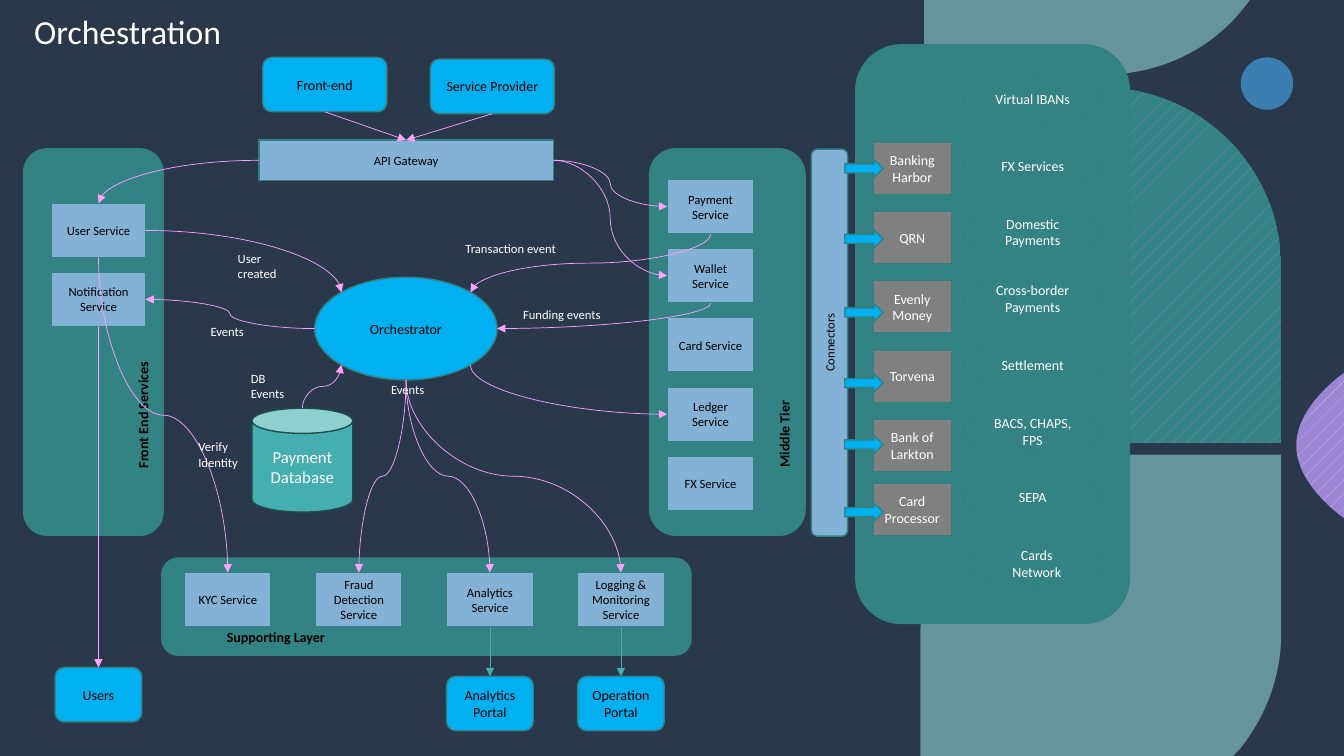
from pptx import Presentation
from pptx.dml.color import RGBColor
from pptx.enum.dml import MSO_PATTERN
from pptx.enum.shapes import MSO_CONNECTOR, MSO_SHAPE as SHAPE
from pptx.enum.text import MSO_ANCHOR, MSO_AUTO_SIZE, PP_ALIGN
from pptx.oxml.ns import qn
from pptx.util import Pt
from lxml.etree import SubElement

COLORS = {name: RGBColor.from_string(value) for name, value in {
    "background": "1B2430", "overlay": "425876", "teal": "348384", "border": "338182",
    "cyan": "00B0F0", "blue": "84B2D6", "gray": "808080", "dot": "3B7EB1", "mint": "8DD2D2",
    "purple": "9B86D5", "lilac": "DED7F1", "database": "45AFB0",
    "database border": "1E4D4D", "pink": "FCA2FD", "black": "000000", "white": "FFFFFF",
}.items()}

presentation = Presentation()
presentation.slide_width, presentation.slide_height = Pt(960), Pt(540)
slide = presentation.slides.add_slide(presentation.slide_layouts[6])
slide.background.fill.solid()
slide.background.fill.fore_color.rgb = COLORS["background"]


def add_box(kind, left, top, width, height, fill=None, text="", size=10,
            color="black", border="border"):
    """Add a preset shape, or a plain text box when kind is None."""
    bounds = Pt(left), Pt(top), Pt(width), Pt(height)
    if kind is None:
        shape = slide.shapes.add_textbox(*bounds)
    else:
        shape = slide.shapes.add_shape(kind, *bounds)
        shape.shadow.inherit = False
        shape.fill.solid()
        shape.fill.fore_color.rgb = COLORS[fill]
        if border:
            shape.line.color.rgb = COLORS[border]
            shape.line.width = Pt(1)
        else:
            shape.line.fill.background()
    if text:
        frame = shape.text_frame
        frame.text = text
        frame.word_wrap = True
        frame.vertical_anchor = MSO_ANCHOR.TOP if kind is None else MSO_ANCHOR.MIDDLE
        paragraph = frame.paragraphs[0]
        paragraph.alignment = PP_ALIGN.LEFT if kind is None else PP_ALIGN.CENTER
        font = paragraph.runs[0].font
        font.name, font.size, font.color.rgb = "Calibri", Pt(size), COLORS[color]
    return shape


def style_arrow(connector, color):
    connector.line.color.rgb = COLORS[color]
    connector.line.width = Pt(0.5)
    properties = connector.element.spPr
    SubElement(properties.find(qn("a:ln")), qn("a:tailEnd"), type="triangle")
    SubElement(properties, qn("a:effectLst"))


# Background tint and decoration: pairs are corners, sextets are Bezier curves
tint = add_box(SHAPE.RECTANGLE, 0, 0, 960, 540, "overlay", border=None)
SubElement(tint.element.spPr.find(".//" + qn("a:srgbClr")), qn("a:alpha"), val="40000")
add_box(SHAPE.OVAL, 886.3, 41, 37.4, 37.4, "dot", border=None)
decorations = [
    ("mint", None, [(660.2, 0), (892.8, 0), (887.8, 6.5),
                    (864.7, 35.3, 828.7, 53.3, 788.4, 53.3), (660.2, 53.3)]),
    ("mint", None, [(786.2, 324.7), (915.1, 324.7), (915.1, 452.9),
                    (915.1, 483.8, 903.6, 512.6, 885.6, 535), (880.6, 540), (657.4, 540),
                    (657.4, 453.6), (657.4, 382.3, 715, 324.7, 786.2, 324.7)]),
    ("purple", "lilac", [(960, 266.4), (960, 370.1), (960, 370.1, 925.9, 347, 925.9, 318.2),
                         (925.9, 289.4, 960, 266.4, 960, 266.4)]),
    ("teal", "purple", [(915.1, 316.8), (787.7, 316.8),
                        (717.1, 316.8, 660.2, 259.9, 660.2, 189.4), (660.2, 62.6),
                        (787.7, 62.6), (857.5, 62.6, 915.1, 119.5, 915.1, 190.1)]),
]
for fill, hatch, outline in decorations:
    corners = [(segment[-2] * 100, segment[-1] * 100) for segment in outline]
    builder = slide.shapes.build_freeform(*corners[0], scale=Pt(1) / 100)
    builder.add_line_segments(corners[1:], close=True)
    shape = builder.convert_to_shape()
    min_x, min_y = (min(values) for values in zip(*corners))
    lines = shape.element.spPr.findall(".//" + qn("a:lnTo"))
    for line, segment in zip(lines, outline[1:]):
        if len(segment) == 6:
            line.tag = qn("a:cubicBezTo")
            line.clear()
            for x, y in zip(segment[::2], segment[1::2]):
                SubElement(line, qn("a:pt"), x=str(round(x * 100 - min_x)),
                           y=str(round(y * 100 - min_y)))
    shape.shadow.inherit = False
    shape.line.fill.background()
    if hatch:
        shape.fill.patterned()
        shape.fill.pattern = MSO_PATTERN.PERCENT_5
        shape.fill.fore_color.rgb = COLORS[hatch]
        shape.fill.back_color.rgb = COLORS[fill]
    else:
        shape.fill.solid()
        shape.fill.fore_color.rgb = COLORS[fill]
        SubElement(shape.element.spPr.find(".//" + qn("a:srgbClr")), qn("a:alpha"), val="60000")

# Title
title = add_box(None, 17.3, -13.4, 390.2, 54, text="Orchestration", size=24, color="white")
title.text_frame.vertical_anchor = MSO_ANCHOR.BOTTOM
title.text_frame.paragraphs[0].line_spacing = 0.9

# Panels
add_box(SHAPE.ROUNDED_RECTANGLE, 611.3, 32.1, 195.4, 413.3, "teal")
for name, left, top, width, height, rotation in [
        ("Supporting Layer", 115.6, 398.7, 378, 69.3, 0),
        ("Front End Services", -71.3, 194.5, 276, 99.6, 270),
        ("Middle Tier", 381.6, 188.8, 276, 111, 270)]:
    panel = add_box(SHAPE.ROUNDED_RECTANGLE, left, top, width, height, "teal", name)
    panel.rotation = rotation
    panel.text_frame.vertical_anchor = MSO_ANCHOR.BOTTOM
    paragraph = panel.text_frame.paragraphs[0]
    paragraph.alignment = PP_ALIGN.JUSTIFY
    paragraph.level = 1
    paragraph._p.get_or_add_pPr().set("marL", str(Pt(36)))
    paragraph.runs[0].font.bold = True
connector_bar = add_box(SHAPE.ROUNDED_RECTANGLE, 454.3, 231.8, 276.5, 25.9, "blue", "Connectors", 9)
connector_bar.rotation = 270

# Payment products
products = ["Virtual IBANs", "FX Services", "Domestic Payments", "Cross-border Payments",
            "Settlement", "BACS, CHAPS, FPS", "SEPA", "Cards Network"]
for row, name in enumerate(products):
    left = 690.5 if name == "Cards Network" else 687.6
    add_box(SHAPE.OVAL, left, 54 + 47.4 * row, 100.1, 33.8, "teal", name, color="white")

# Payment providers with their arrows
for name, top, arrow_top in [
        ("Banking Harbor", 101.5, 113.8), ("QRN", 151.2, 164.2), ("Evenly Money", 200.5, 216.7),
        ("Torvena", 250, 267.1), ("Bank of Larkton", 299.5, 311), ("Card Processor", 345, 359.3)]:
    add_box(SHAPE.RECTANGLE, 623.5, top, 56.2, 37.4, "gray", name, color="white")
    add_box(SHAPE.RIGHT_ARROW, 603.4, arrow_top, 27.4, 13, "cyan")

# Services, entry points and portals
nodes = {}
for kind, fill, size, width, height, items in [
        (SHAPE.RECTANGLE, "blue", 9, 61.9, 38.9,
         [(name, 476.6, 128.2 + 49.4 * row) for row, name in enumerate(
             ["Payment Service", "Wallet Service", "Card Service", "Ledger Service", "FX Service"])]
         + [(name, 131.8 + 93.6 * column, 409) for column, name in enumerate(
             ["KYC Service", "Fraud Detection Service", "Analytics Service",
              "Logging & Monitoring Service"])]),
        (SHAPE.RECTANGLE, "blue", 9, 67, 38.9,
         [("User Service", 36.9, 145.2), ("Notification Service", 36.9, 194.4)]),
        (SHAPE.RECTANGLE, "blue", 9, 210.2, 28.8, [("API Gateway", 185, 100.1)]),
        (SHAPE.ROUNDED_RECTANGLE, "cyan", 10, 88.6, 38.9,
         [("Front-end", 187.7, 41), ("Service Provider", 307.4, 42.3)]),
        (SHAPE.ROUNDED_RECTANGLE, "cyan", 10, 61.9, 38.9,
         [("Users", 39.4, 476.8), ("Analytics Portal", 319, 483.1),
          ("Operation Portal", 412.6, 483.1)]),
        (SHAPE.OVAL, "cyan", 10, 130.3, 73.4, [("Orchestrator", 224.8, 198)])]:
    for name, left, top in items:
        nodes[name] = add_box(kind, left, top, width, height, fill, name, size)
add_box(SHAPE.CAN, 180, 291.6, 72, 74.2, "database", "Payment Database", 12,
        "white", "database border")

# Straight arrows, from bottom side to top side
for source, target, color in [
        ("Front-end", "API Gateway", "pink"), ("Service Provider", "API Gateway", "pink"),
        ("Notification Service", "Users", "pink"),
        ("Analytics Service", "Analytics Portal", "database"),
        ("Logging & Monitoring Service", "Operation Portal", "database")]:
    arrow = slide.shapes.add_connector(MSO_CONNECTOR.STRAIGHT, 0, 0, 0, 0)
    arrow.begin_connect(nodes[source], 2)
    arrow.end_connect(nodes[target], 0)
    style_arrow(arrow, color)

# Curved arrows: (starts vertically, goes right, goes down) gives rotation and flips
TURNS = {(True, False, True): (90, ""), (True, True, True): (270, "H"),
         (True, True, False): (90, "HV"), (False, True, True): (0, ""),
         (False, False, False): (180, ""), (False, False, True): (180, "V")}
for x1, y1, x2, y2, vertical, bends in [
        (290, 271.4, 256.3, 409, True, 3), (290, 271.4, 349.9, 409, True, 3),
        (290, 271.4, 443.5, 409, True, 3), (224.8, 234.7, 103.9, 213.8, False, 3),
        (185, 114.5, 70.4, 145.2, False, 2), (70.4, 184.1, 162.7, 409, True, 3),
        (103.9, 164.6, 243.9, 208.8, False, 2), (395.2, 114.5, 476.6, 147.6, False, 3),
        (395.2, 114.5, 476.6, 197, False, 3), (507.6, 216.5, 355.1, 234.7, True, 2),
        (336, 260.6, 476.6, 295.9, True, 2), (507.6, 167.1, 336, 208.8, True, 3),
        (216, 291.6, 243.9, 260.6, True, 3)]:
    width, height = abs(x2 - x1), abs(y2 - y1)
    if vertical:
        width, height = height, width
    left, top = (x1 + x2 - width) / 2, (y1 + y2 - height) / 2
    arrow = slide.shapes.add_connector(MSO_CONNECTOR.CURVE, Pt(left), Pt(top),
                                       Pt(left + width), Pt(top + height))
    rotation, flips = TURNS[vertical, x2 > x1, y2 > y1]
    transform = arrow.element.spPr.find(qn("a:xfrm"))
    transform.set("rot", str(rotation * 60000))
    for axis in flips:
        transform.set("flip" + axis, "1")
    arrow.element.spPr.find(qn("a:prstGeom")).set("prst", f"curvedConnector{bends}")
    style_arrow(arrow, "pink")

# Event labels
for text, left, top, width, height in [
        ("Verify Identity", 134.6, 310.3, 49, 28.8), ("User created", 162.7, 175.7, 49, 28.8),
        ("Events", 272.2, 269.3, 49, 18), ("Events", 143.3, 227.5, 49, 18),
        ("Transaction event", 325.4, 168.5, 81.4, 18), ("Funding events", 366.5, 216, 72.7, 18),
        ("DB Events", 172.1, 261.4, 49, 28.8)]:
    label = add_box(None, left, top, width, height, text=text, size=9, color="white")
    label.text_frame.auto_size = MSO_AUTO_SIZE.SHAPE_TO_FIT_TEXT

presentation.save("out.pptx")
